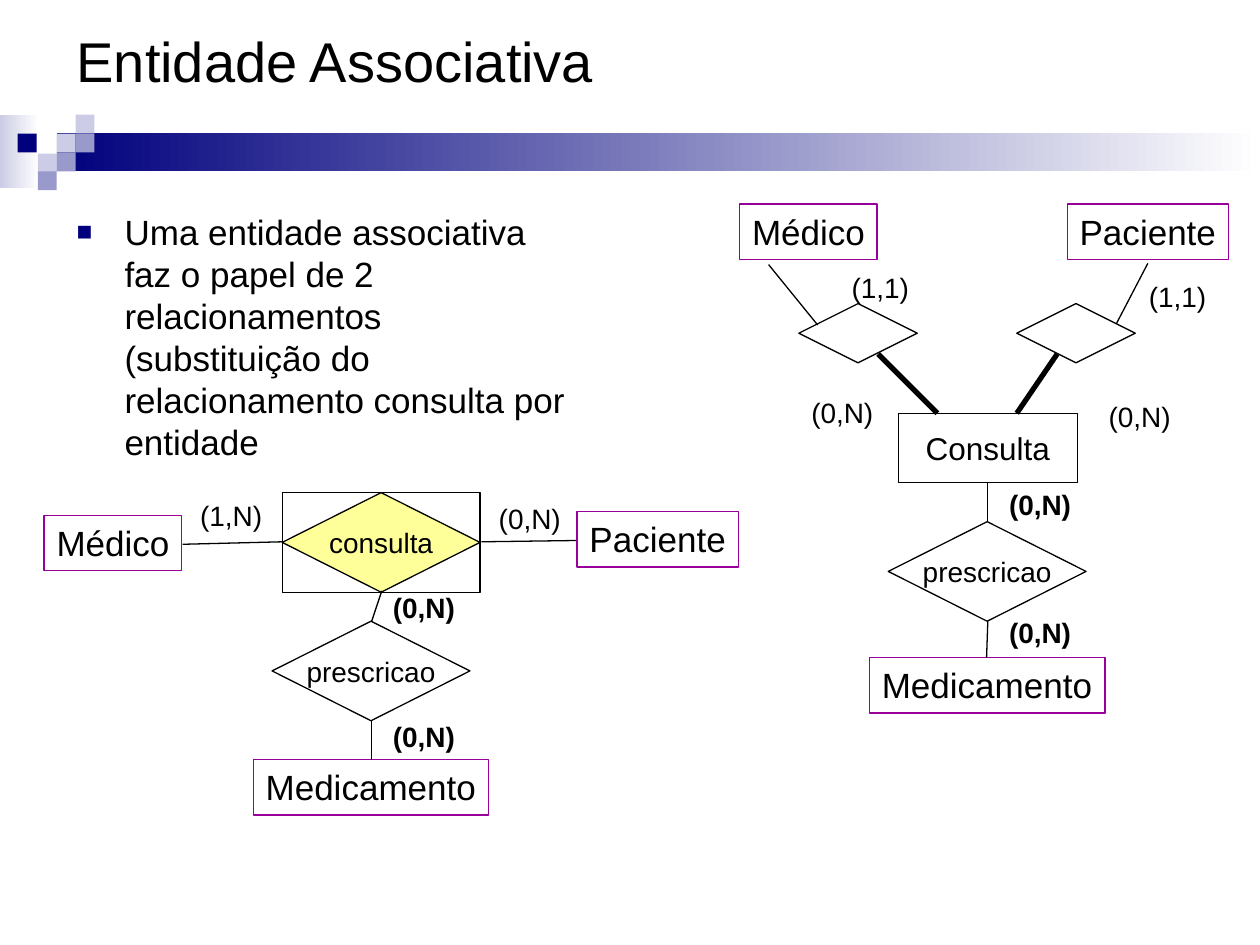
from lxml import etree
from pptx import Presentation
from pptx.dml.color import RGBColor
from pptx.enum import shapes, text
from pptx.oxml import ns
from pptx.util import Inches, Pt

NAVY, LILAC, BLUE = "00007D", "CCCCE6", "9999CC"
BLACK, WHITE, PURPLE, YELLOW = "000000", "FFFFFF", "990099", "FFFF99"
RECT, DIAMOND = shapes.MSO_SHAPE.RECTANGLE, shapes.MSO_SHAPE.DIAMOND
TOP, MIDDLE = text.MSO_ANCHOR.TOP, text.MSO_ANCHOR.MIDDLE
LEFT, CENTER = text.PP_ALIGN.LEFT, text.PP_ALIGN.CENTER

TITLE = "Entidade Associativa"
BODY = ("Uma entidade associativa faz o papel de 2 relacionamentos "
        "(substituição do relacionamento consulta por entidade")

# Header: gradient bands (box, left colour), then small squares (left, top, colour)
BANDS = [((0, 0.91, 0.31, 0.58), LILAC), ((0.45, 1.06, 9.55, 0.3), NAVY)]
SQUARE = 0.15
SQUARES = [(0.45, 1.06, LILAC), (0.6, 0.91, LILAC), (0.6, 1.06, BLUE),
           (0.3, 1.22, LILAC), (0.14, 1.06, NAVY), (0.45, 1.21, BLUE),
           (0.3, 1.36, BLUE)]

# Entities: name, left, top; the width follows the name
ENTITY_WIDTH = {"Médico": 1.09, "Paciente": 1.28, "Medicamento": 1.87}
ENTITIES = [("Médico", 0.35, 4.09), ("Paciente", 4.58, 4.06),
            ("Medicamento", 2.01, 6.03), ("Médico", 5.87, 1.62),
            ("Paciente", 8.47, 1.62), ("Medicamento", 6.9, 5.22)]

# Relationships and associative entities: shape, label, box, fill, size
NODES = [(DIAMOND, "consulta", (2.24, 3.91, 1.57, 0.79), YELLOW, 16),
         (RECT, "", (2.24, 3.91, 1.57, 0.79), None, 16),
         (DIAMOND, "prescricao", (2.16, 4.93, 1.57, 0.79), None, 16),
         (RECT, "Consulta", (7.13, 3.28, 1.42, 0.55), None, 18),
         (DIAMOND, "prescricao", (7.05, 4.14, 1.57, 0.79), WHITE, 16),
         (DIAMOND, "", (6.34, 2.41, 0.94, 0.47), WHITE, 16),
         (DIAMOND, "", (8.07, 2.41, 0.94, 0.47), WHITE, 16)]

# Cardinalities: label, left, top, bold
CARDINALITY_SIZE = (0.69, 0.37)
CARDINALITIES = [("(1,N)", 1.49, 3.91, False), ("(0,N)", 3.86, 3.93, False),
                 ("(0,N)", 3.02, 4.64, True), ("(0,N)", 3.02, 5.66, True),
                 ("(1,1)", 6.66, 2.1, False), ("(1,1)", 9.02, 2.17, False),
                 ("(0,N)", 6.34, 3.09, False), ("(0,N)", 8.7, 3.12, False),
                 ("(0,N)", 7.91, 3.82, True), ("(0,N)", 7.91, 4.84, True)]

# Links: from x, y, to x, y, line width
LINKS = [(1.45, 4.32, 2.24, 4.3, 0.75), (3.82, 4.3, 4.57, 4.29, 0.75),
         (3.03, 4.69, 2.95, 4.93, 0.75), (2.95, 5.72, 2.95, 6.03, 0.75),
         (6.1, 2.1, 6.49, 2.58, 0.75), (8.86, 2.57, 9.11, 2.09, 0.75),
         (7.84, 3.83, 7.84, 4.14, 0.75), (7.84, 4.93, 7.83, 5.22, 0.75),
         (8.07, 3.28, 8.39, 2.81, 3), (7.44, 3.28, 6.97, 2.81, 3)]


def rgb(color):
    return RGBColor.from_string(color)


def write(sp, words, size, wrap=False, anchor=TOP, align=LEFT, bold=False):
    tf = sp.text_frame
    for name, value in {"word_wrap": wrap, "vertical_anchor": anchor}.items():
        setattr(tf, name, value)
    p = tf.paragraphs[0]
    p.alignment = align
    r = p.add_run()
    r.text = words
    for name, value in {"name": "Arial", "size": Pt(size), "bold": bold}.items():
        setattr(r.font, name, value)
    r.font.color.rgb = rgb(BLACK)
    return p


def add_text(s, box, words, size, **options):
    return write(s.shapes.add_textbox(*map(Inches, box)), words, size, **options)


def add_shape(s, kind, box, fill=None, line=None):
    sp = s.shapes.add_shape(kind, *map(Inches, box))
    sp.shadow.inherit = False
    if fill:
        sp.fill.solid()
        sp.fill.fore_color.rgb = rgb(fill)
    else:
        sp.fill.background()
    if line:
        sp.line.color.rgb = rgb(line)
        sp.line.width = Pt(0.75)
    else:
        sp.line.fill.background()
    return sp


def add_band(s, box, color):
    fill = add_shape(s, RECT, box).fill
    fill.gradient()
    fill.gradient_angle = 0
    for stop, stop_color in zip(fill.gradient_stops, (color, WHITE)):
        stop.color.rgb = rgb(stop_color)


def add_link(s, x1, y1, x2, y2, width):
    link = s.shapes.add_connector(shapes.MSO_CONNECTOR.STRAIGHT,
                                  *map(Inches, (x1, y1, x2, y2)))
    link.line.color.rgb = rgb(BLACK)
    link.line.width = Pt(width)
    etree.SubElement(link._element.spPr, ns.qn("a:effectLst"))


def add_bullet(p, indent):
    pPr = p._p.get_or_add_pPr()
    pPr.set("marL", str(Inches(indent)))
    pPr.set("indent", str(-Inches(indent)))
    color = etree.SubElement(pPr, ns.qn("a:buClr"))
    etree.SubElement(color, ns.qn("a:srgbClr"), val=NAVY)
    etree.SubElement(pPr, ns.qn("a:buSzPct"), val="75000")
    etree.SubElement(pPr, ns.qn("a:buFont"), typeface="Arial")
    etree.SubElement(pPr, ns.qn("a:buChar"), char="■")


def main():
    prs = Presentation()
    prs.slide_width, prs.slide_height = Inches(10), Inches(7.5)
    s = prs.slides.add_slide(prs.slide_layouts[6])

    # Header
    for box, color in BANDS:
        add_band(s, box, color)
    for x, y, color in SQUARES:
        add_shape(s, RECT, (x, y, SQUARE, SQUARE), color)

    # Title and body
    add_text(s, (0.51, 0, 9, 0.95), TITLE, 32, wrap=True, anchor=MIDDLE)
    p = add_text(s, (0.51, 1.62, 4.09, 5.88), BODY, 20, wrap=True)
    p.space_before = Pt(5)
    add_bullet(p, 0.38)

    # Diagrams
    for name, x, y in ENTITIES:
        sp = add_shape(s, RECT, (x, y, ENTITY_WIDTH[name], 0.44), line=PURPLE)
        write(sp, name, 20)
    for kind, label, box, fill, size in NODES:
        sp = add_shape(s, kind, box, fill, BLACK)
        if label:
            write(sp, label, size, anchor=MIDDLE, align=CENTER)
    for link in LINKS:
        add_link(s, *link)
    for label, x, y, bold in CARDINALITIES:
        add_text(s, (x, y, *CARDINALITY_SIZE), label, 16, bold=bold)

    prs.save("out.pptx")


if __name__ == "__main__":
    main()
